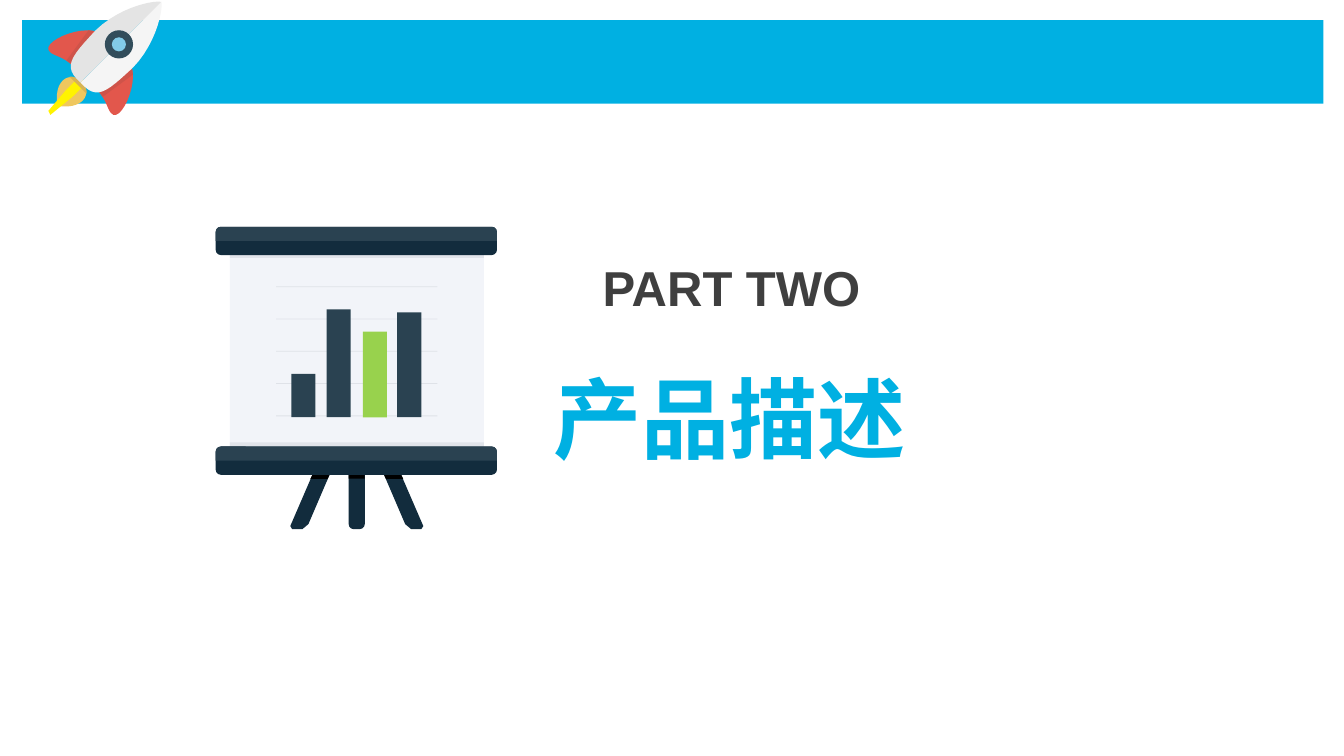
from pptx import Presentation
from pptx.dml.color import RGBColor
from pptx.enum.shapes import MSO_SHAPE
from pptx.enum.text import MSO_AUTO_SIZE
from pptx.util import Cm, Pt

RECT = MSO_SHAPE.RECTANGLE
OVAL = MSO_SHAPE.OVAL
ROUNDED = MSO_SHAPE.ROUNDED_RECTANGLE
TWO_ROUNDED = MSO_SHAPE.ROUND_2_SAME_RECTANGLE
GROW = MSO_AUTO_SIZE.SHAPE_TO_FIT_TEXT

SKY = RGBColor.from_string("00B0E2")
CHARCOAL = RGBColor.from_string("3F3F3F")
NAVY = RGBColor.from_string("122C3D")
SLATE = RGBColor.from_string("2A4251")
SHEET = RGBColor.from_string("F2F4F9")
SHEET_EDGE = RGBColor.from_string("E1E4EA")
GRID = RGBColor.from_string("DFE2E8")
GREEN = RGBColor.from_string("98D24D")
BLACK = RGBColor.from_string("000000")
RED = RGBColor.from_string("E2574C")
DARK_RED = RGBColor.from_string("CF5349")
AMBER = RGBColor.from_string("EFC75E")
DARK_AMBER = RGBColor.from_string("D7B354")
YELLOW = RGBColor.from_string("FFF300")
HULL = RGBColor.from_string("F5F5F5")
HULL_SHADE = RGBColor.from_string("E4E4E4")
PORTHOLE = RGBColor.from_string("324D5B")
GLASS = RGBColor.from_string("82CBE8")

CURVE_STEPS = 12
ROCKET_AXIS = 1.62  # x + y along the rocket's axis
BOARD_AXIS = 3.54  # x of the board's centre

# Outlines in inches: a start point, then lines (x, y) or Bézier curves (six numbers)
FLAME = [(0.81, 0.81), (0.93, 0.95, 0.8, 1.09, 0.57, 1.05),
         (0.53, 0.82, 0.67, 0.69, 0.81, 0.81)]
FLAME_CORE = [(0.79, 0.76), (0.65, 0.9), (0.48, 1.1), (0.5, 1.14), (0.72, 0.96), (0.86, 0.82)]
FLAME_SHADE = [(0.69, 0.76), (0.76, 0.75, 0.87, 0.84, 0.86, 0.93)]
FIN = [(0.97, 0.32), (0.79, 0.24, 0.38, 0.43, 0.5, 0.52), (0.55, 0.56, 0.62, 0.56, 0.72, 0.65)]
FIN_SHADE = [(0.88, 0.3), (0.66, 0.6), (0.7, 0.63), (0.93, 0.31)]
HULL_HALF = [(1.6, 0.02), (0.8, 0.82), (0.62, 0.66, 0.7, 0.57, 0.95, 0.3),
             (1.21, 0.05, 1.56, 0, 1.6, 0.02)]
LEG = [(3.98, 4.71), (3.81, 4.71), (4.02, 5.2), (4.08, 5.25), (4.18, 5.25), (4.2, 5.22)]
LEG_SHADE = LEG[:2] + [(x + 0.02, y + 0.04) for x, y in reversed(LEG[:2])]


def inches(value):
    return Cm(value * 2.54)


def paint(shape, color):
    shape.shadow.inherit = False
    shape.fill.solid()
    shape.fill.fore_color.rgb = color
    shape.line.fill.background()


def add_preset(page, kind, frame, color, adjustments=()):
    shape = page.shapes.add_shape(kind, *map(inches, frame))
    for index, value in enumerate(adjustments):
        shape.adjustments[index] = value
    paint(shape, color)


def curve_points(start, curve):
    """Points along a cubic Bézier curve, without its start."""
    controls = [start, curve[:2], curve[2:4], curve[4:]]
    for step in range(1, CURVE_STEPS + 1):
        t = step / CURVE_STEPS
        weights = ((1 - t) ** 3, 3 * t * (1 - t) ** 2, 3 * t ** 2 * (1 - t), t ** 3)
        yield tuple(sum(weight * point[axis] for weight, point in zip(weights, controls))
                    for axis in (0, 1))


def across_rocket(x, y):
    return ROCKET_AXIS - y, ROCKET_AXIS - x


def across_board(x, y):
    return 2 * BOARD_AXIS - x, y


def add_outline(page, outline, color, mirror=None):
    points = [outline[0]]
    for segment in outline[1:]:
        if len(segment) == 2:
            points.append(segment)
        else:
            points.extend(curve_points(points[-1], segment))
    if mirror:
        points = [mirror(x, y) for x, y in points]
    corners = [(inches(x), inches(y)) for x, y in points]
    builder = page.shapes.build_freeform(*corners[0])
    builder.add_line_segments(corners[1:], close=True)
    paint(builder.convert_to_shape(), color)


def add_label(page, frame, text, size, color):
    box = page.shapes.add_textbox(*map(inches, frame))
    margins = dict.fromkeys(("margin_left", "margin_top", "margin_right", "margin_bottom"),
                            inches(0.05))
    for name, value in {**margins, "word_wrap": False, "auto_size": GROW}.items():
        setattr(box.text_frame, name, value)
    span = box.text_frame.paragraphs[0].add_run()
    span.text = text
    for name, value in {"name": "Arial", "size": Pt(size), "bold": True}.items():
        setattr(span.font, name, value)
    span.font.color.rgb = color


def add_rocket(page):
    add_outline(page, FLAME, AMBER)
    for outline, color in ((FIN, RED), (FIN_SHADE, DARK_RED)):
        for mirror in (None, across_rocket):
            add_outline(page, outline, color, mirror)
    add_outline(page, FLAME_CORE, YELLOW)
    add_outline(page, FLAME_SHADE, DARK_AMBER)
    add_outline(page, HULL_HALF, HULL, across_rocket)
    add_outline(page, HULL_HALF, HULL_SHADE)
    # Porthole: two discs around one centre
    for size, color in ((0.28, PORTHOLE), (0.14, GLASS)):
        add_preset(page, OVAL, (1.18 - size / 2, 0.44 - size / 2, size, size), color)


def add_chart_board(page):
    # Sheet with shaded edges
    add_preset(page, RECT, (2.28, 2.52, 2.52, 1.91), SHEET)
    for top in (2.52, 4.39):
        add_preset(page, RECT, (2.28, top, 2.52, 0.04), SHEET_EDGE)
    # Legs
    add_preset(page, TWO_ROUNDED, (3.46, 4.71, 0.16, 0.54), NAVY, (0, 0.32))
    add_preset(page, RECT, (3.46, 4.71, 0.16, 0.04), BLACK)
    for outline, color in ((LEG, NAVY), (LEG_SHADE, BLACK)):
        for mirror in (None, across_board):
            add_outline(page, outline, color, mirror)
    # Rails
    for top in (2.25, 4.43):
        add_preset(page, ROUNDED, (2.14, top, 2.79, 0.28), NAVY, (0.18,))
        add_preset(page, TWO_ROUNDED, (2.14, top, 2.79, 0.14), SLATE, (0.36, 0))
    # Grid lines and bars
    for row in range(5):
        add_preset(page, RECT, (2.74, 2.84 + row * 0.32, 1.6, 0.01), GRID)
    for left, height, color in ((2.89, 0.43, SLATE), (3.24, 1.07, SLATE),
                                (3.6, 0.85, GREEN), (3.94, 1.04, SLATE)):
        add_preset(page, RECT, (left, 4.14 - height, 0.24, height), color)


def main():
    deck = Presentation()
    deck.slide_width, deck.slide_height = Cm(33.87), Cm(19.05)
    page = deck.slides.add_slide(deck.slide_layouts[6])

    # Header
    add_preset(page, RECT, (0.22, 0.2, 12.91, 0.83), SKY)
    add_rocket(page)

    # Section title
    add_label(page, (5.93, 2.51, 2.67, 0.64), "PART TWO", 35, CHARCOAL)
    add_label(page, (5.44, 3.56, 3.61, 1.32), "产品描述", 63, SKY)
    add_chart_board(page)

    deck.save("out.pptx")


if __name__ == "__main__":
    main()
